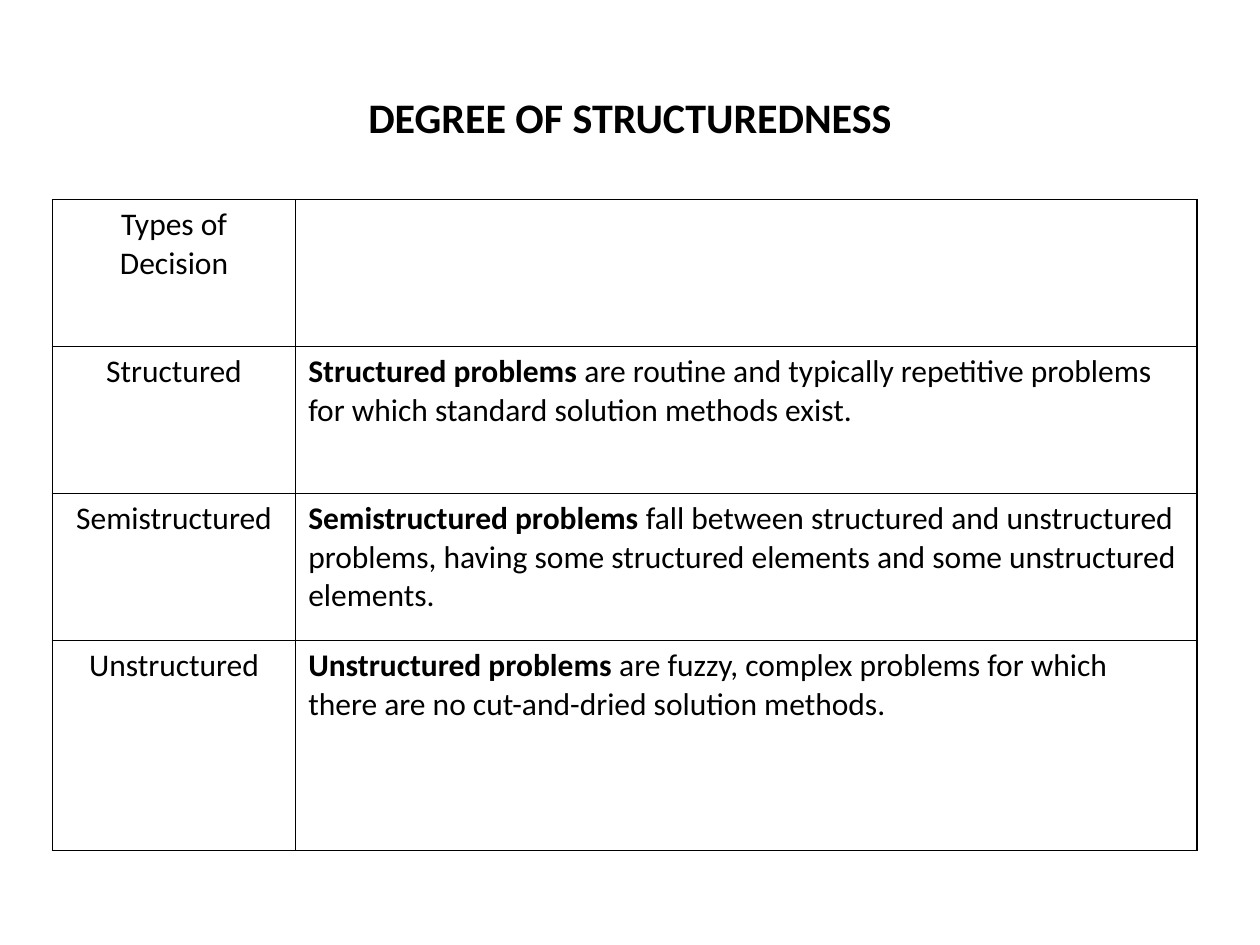
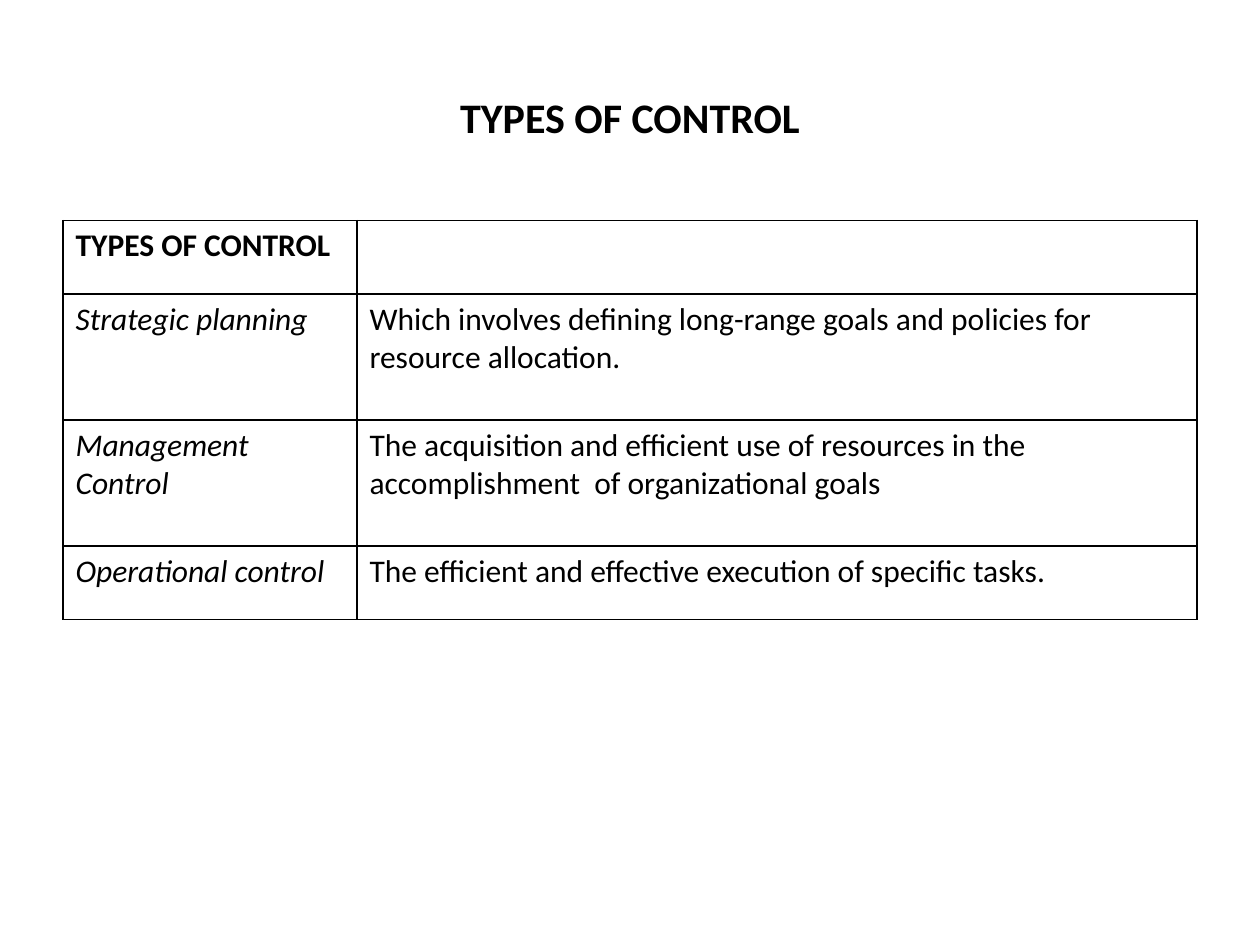
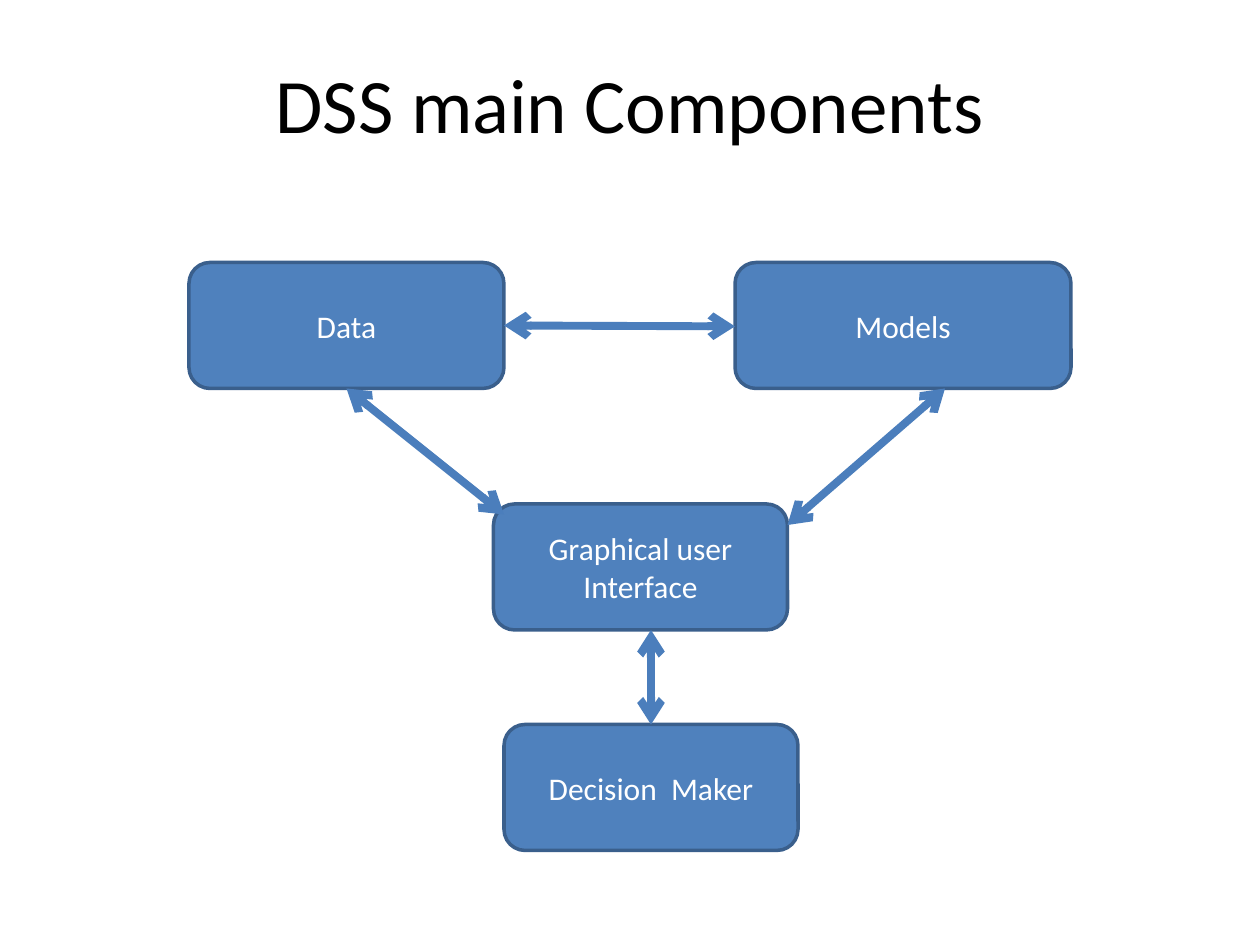
from dataclasses import dataclass

from lxml import etree
from pptx import Presentation
from pptx.dml.color import RGBColor
from pptx.enum import shapes, text
from pptx.oxml.ns import qn
from pptx.util import Pt


@dataclass(frozen=True)
class Theme:
    font: str = "Calibri"
    ink: str = "000000"
    pale: str = "FFFFFF"
    fill: str = "4F81BD"
    edge: str = "3A5F8C"
    arrow: str = "4B7EBC"
    head: int = 24
    big: int = 44
    body: int = 18
    rule: float = 1
    frame: float = 2
    shaft: float = 4.5


T = Theme()
MID = text.PP_ALIGN.CENTER
LEFT = text.PP_ALIGN.LEFT

GRIDS = [
    {
        "title": "DEGREE OF STRUCTUREDNESS",
        "at": (30, 114),
        "cols": (139, 515),
        "rows": (84, 84, 84, 120),
        "align": (MID, LEFT),
        "cells": [
            ([[("Types of Decision", "")]], []),
            ([[("Structured", "")]],
             [[("Structured problems ", "b"),
               ("are routine and typically repetitive problems for which "
                "standard solution methods exist.", "")]]),
            ([[("Semistructured", "")]],
             [[("Semistructured problems ", "b"),
               ("fall between structured and unstructured problems, having "
                "some structured elements and some unstructured elements.", "")]]),
            ([[("Unstructured", "")]],
             [[("Unstructured problems ", "b"),
               ("are fuzzy, complex problems for which", "")],
              [("there are no cut-and-dried solution methods.", "")]]),
        ],
    },
    {
        "title": "TYPES OF CONTROL",
        "at": (36, 126),
        "cols": (168, 480),
        "rows": (42, 72, 72, 42),
        "align": (LEFT, LEFT),
        "cells": [
            ([[("TYPES OF CONTROL", "b")]], []),
            ([[("Strategic planning", "i")]],
             [[("Which involves defining long-range goals and policies for "
                "resource allocation.", "")]]),
            ([[("Management", "i")], [("Control", "i")]],
             [[("The acquisition and efficient use of resources in the "
                "accomplishment  of organizational goals", "")]]),
            ([[("Operational control", "i")]],
             [[("The efficient and effective execution of specific tasks.", "")]]),
        ],
    },
]

CHART = "DSS main Components"
BOX_H = 72
BOXES = [
    ("Data", 108, 150, 180),
    ("Models", 420, 150, 192),
    ("Graphical user Interface", 282, 288, 168),
    ("Decision  Maker", 288, 414, 168),
]
LINKS = [
    (288, 186, 420, 186.5),
    (198, 222, 288, 294),
    (540, 222, 450, 300),
    (372, 360, 372, 414),
]


def tint(code):
    return RGBColor.from_string(code)


def write(frame, paras, size, color, align):
    for n, runs in enumerate(paras):
        para = frame.paragraphs[0] if n == 0 else frame.add_paragraph()
        para.alignment = align
        for words, style in runs:
            run = para.add_run()
            run.text = words
            font = run.font
            font.name, font.size = T.font, Pt(size)
            font.bold, font.italic = "b" in style, "i" in style
            font.color.rgb = tint(color)


def start(deck, words, size, style, high):
    slide = deck.slides.add_slide(deck.slide_layouts[5])
    title = slide.shapes.title
    title.left, title.top, title.width, title.height = map(Pt, (36, 21.6, 648, high))
    title.text_frame.vertical_anchor = text.MSO_ANCHOR.MIDDLE
    write(title.text_frame, [[(words, style)]], size, T.ink, MID)
    return slide


def rule(cell):
    props = cell._tc.get_or_add_tcPr()
    for side in ("lnL", "lnR", "lnT", "lnB"):
        line = etree.SubElement(props, qn("a:" + side), w=str(Pt(T.rule)))
        fill = etree.SubElement(line, qn("a:solidFill"))
        etree.SubElement(fill, qn("a:srgbClr"), val=T.ink)
    cell.fill.background()


def grid(deck, data):
    slide = start(deck, data["title"], T.head, "b", 90)
    cols, rows = data["cols"], data["rows"]
    size = (*data["at"], sum(cols), sum(rows))
    table = slide.shapes.add_table(len(rows), len(cols), *map(Pt, size)).table
    table.first_row = table.horz_banding = False
    for col, wide in zip(table.columns, cols):
        col.width = Pt(wide)
    for row, high, items in zip(table.rows, rows, data["cells"]):
        row.height = Pt(high)
        for cell, paras, align in zip(row.cells, items, data["align"]):
            rule(cell)
            write(cell.text_frame, paras, T.body, T.ink, align)


def box(slide, words, left, top, wide):
    shape = slide.shapes.add_shape(
        shapes.MSO_SHAPE.ROUNDED_RECTANGLE, *map(Pt, (left, top, wide, BOX_H)))
    shape.shadow.inherit = False
    shape.fill.solid()
    shape.fill.fore_color.rgb = tint(T.fill)
    shape.line.color.rgb = tint(T.edge)
    shape.line.width = Pt(T.frame)
    frame = shape.text_frame
    frame.word_wrap = True
    frame.vertical_anchor = text.MSO_ANCHOR.MIDDLE
    write(frame, [[(words, "")]], T.body, T.pale, MID)


def link(slide, ends):
    wire = slide.shapes.add_connector(shapes.MSO_CONNECTOR.STRAIGHT, *map(Pt, ends))
    wire.line.color.rgb = tint(T.arrow)
    wire.line.width = Pt(T.shaft)
    props = wire._element.spPr
    for tip in ("headEnd", "tailEnd"):
        etree.SubElement(props.find(qn("a:ln")), qn("a:" + tip), type="arrow")
    etree.SubElement(props, qn("a:effectLst"))


def main():
    deck = Presentation()
    deck.slide_width, deck.slide_height = Pt(720), Pt(540)
    for data in GRIDS:
        grid(deck, data)
    slide = start(deck, CHART, T.big, "", 74)
    for item in BOXES:
        box(slide, *item)
    for ends in LINKS:
        link(slide, ends)
    deck.save("out.pptx")


if __name__ == "__main__":
    main()
